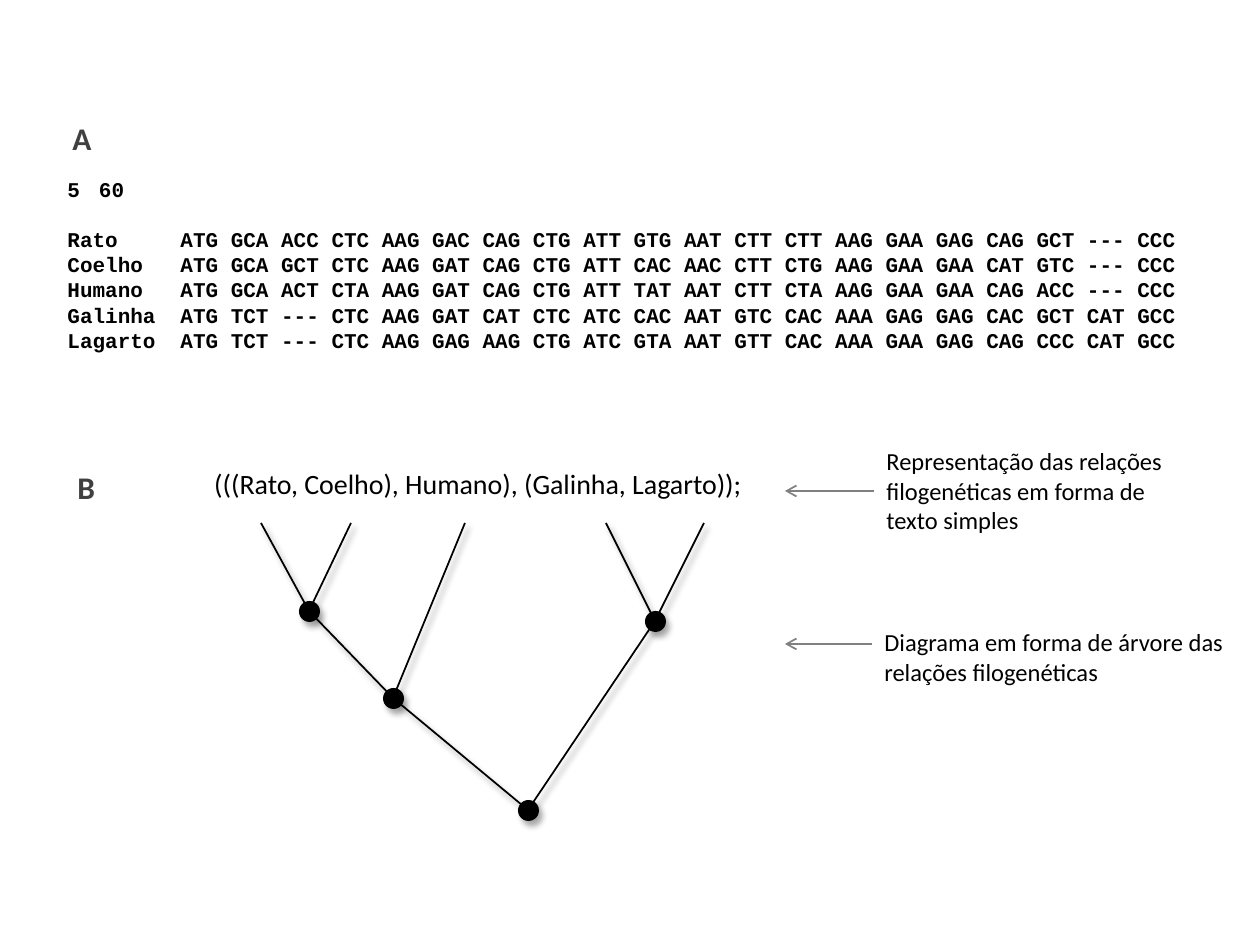
"""Build a slide with a codon alignment and its phylogenetic tree."""
from lxml.etree import SubElement
from pptx import Presentation
from pptx.dml.color import RGBColor
from pptx.enum.shapes import MSO_CONNECTOR, MSO_SHAPE
from pptx.enum.text import PP_ALIGN
from pptx.oxml import parse_xml
from pptx.oxml.ns import nsdecls, qn
from pptx.util import Emu, Pt

PX = 914400 // 126
THEME = {
    "ink": RGBColor(0, 0, 0), "label": RGBColor(64, 64, 64), "arrow": RGBColor(128, 128, 128),
    "sans": "Calibri", "mono": "Courier New",
    "code": 12, "note": 14, "tree": 16, "head": 18, "pitch": 14.4,
}
SHADE = (
    '<a:effectLst {}><a:outerShdw blurRad="45720" dist="45720" dir="{}" rotWithShape="0">'
    '<a:srgbClr val="000000"><a:alpha val="{}"/></a:srgbClr></a:outerShdw></a:effectLst>'
)

deck = Presentation()
deck.slide_width, deck.slide_height = Emu(1260 * PX), Emu(945 * PX)
slide = deck.slides.add_slide(deck.slide_layouts[6])


def write(text, box, size="note", font="sans", color="ink", bold=False, align=PP_ALIGN.LEFT):
    item = slide.shapes.add_textbox(*(Emu(v * PX) for v in box))
    frame = item.text_frame
    frame.word_wrap = True
    frame.text = text
    for para in frame.paragraphs:
        para.alignment = align
        face = para.runs[0].font
        face.name, face.size, face.bold = THEME[font], Pt(THEME[size]), bold
        face.color.rgb = THEME[color]
    return item


def link(start, end, color="ink", shade=True):
    line = slide.shapes.add_connector(MSO_CONNECTOR.STRAIGHT, *(Emu(v * PX) for v in start + end))
    line.line.color.rgb = THEME[color]
    line.line.width = Pt(1)
    props = line._element.spPr
    if shade:
        props.append(parse_xml(SHADE.format(nsdecls("a"), 53 * 60000, 38000)))
    else:
        SubElement(props, qn("a:effectLst"))
        SubElement(props.find(qn("a:ln")), qn("a:tailEnd"), type="arrow")
    return line


codons = {
    "Rato": "ATG GCA ACC CTC AAG GAC CAG CTG ATT GTG AAT CTT CTT AAG GAA GAG CAG GCT --- CCC",
    "Coelho": "ATG GCA GCT CTC AAG GAT CAG CTG ATT CAC AAC CTT CTG AAG GAA GAA CAT GTC --- CCC",
    "Humano": "ATG GCA ACT CTA AAG GAT CAG CTG ATT TAT AAT CTT CTA AAG GAA GAA CAG ACC --- CCC",
    "Galinha": "ATG TCT --- CTC AAG GAT CAT CTC ATC CAC AAT GTC CAC AAA GAG GAG CAC GCT CAT GCC",
    "Lagarto": "ATG TCT --- CTC AAG GAG AAG CTG ATC GTA AAT GTT CAC AAA GAA GAG CAG CCC CAT GCC",
}
rows = ["60"] + [f"{name}\t{seq}" for name, seq in codons.items()]
block = write("\n".join(rows), (55, 170, 1171, 190), size="code", font="mono", bold=True)
count, *taxa = block.text_frame.paragraphs
props = count._p.get_or_add_pPr()
props.set("marL", "228600")
props.set("indent", "-228600")
count.line_spacing = Pt(THEME["pitch"])
SubElement(props, qn("a:buFont"), typeface=THEME["mono"])
SubElement(props, qn("a:buAutoNum"), type="arabicPlain", startAt="5")
for para in taxa:
    para.line_spacing = Pt(THEME["pitch"])
    tabs = SubElement(para._p.get_or_add_pPr(), qn("a:tabLst"))
    SubElement(tabs, qn("a:tab"), pos=str(113 * PX), algn="l")
taxa[0].space_before = Pt(THEME["pitch"])

write("(((Rato, Coelho), Humano), (Galinha, Lagarto));", (159, 460, 638, 47),
      size="tree", align=PP_ALIGN.CENTER)

top = 523
pair, trio, duo, root = (309, 611), (393, 698), (655, 621), (528, 810)
leaves = [(261, pair), (351, pair), (465, trio), (606, duo), (704, duo)]
for x, node in leaves:
    link((x, top), node)
for start, end in [(pair, trio), (trio, root), (duo, root)]:
    link(start, end)
side = 21
for x, y in (pair, trio, duo, root):
    dot = slide.shapes.add_shape(
        MSO_SHAPE.OVAL, *(Emu(v * PX) for v in (x - side // 2, y - side // 2, side, side)))
    dot.fill.solid()
    dot.fill.fore_color.rgb = THEME["ink"]
    dot.line.fill.background()
    dot._element.spPr.append(parse_xml(SHADE.format(nsdecls("a"), 56 * 60000, 35000)))

for text, x, y in [("A", 60, 113), ("B", 65, 462)]:
    write(text, (x, y, 47, 50), size="head", color="label", bold=True)

plain = write("Representação das relações filogenéticas em forma de texto simples",
              (874, 440, 335, 102))
write("Diagrama em forma de árvore das relações filogenéticas", (872, 621, 367, 72))
arrow = link((872, 491), (785, 491), color="arrow", shade=False)
arrow.begin_connect(plain, 1)
link((872, 644), (785, 644), color="arrow", shade=False)

deck.save("out.pptx")
